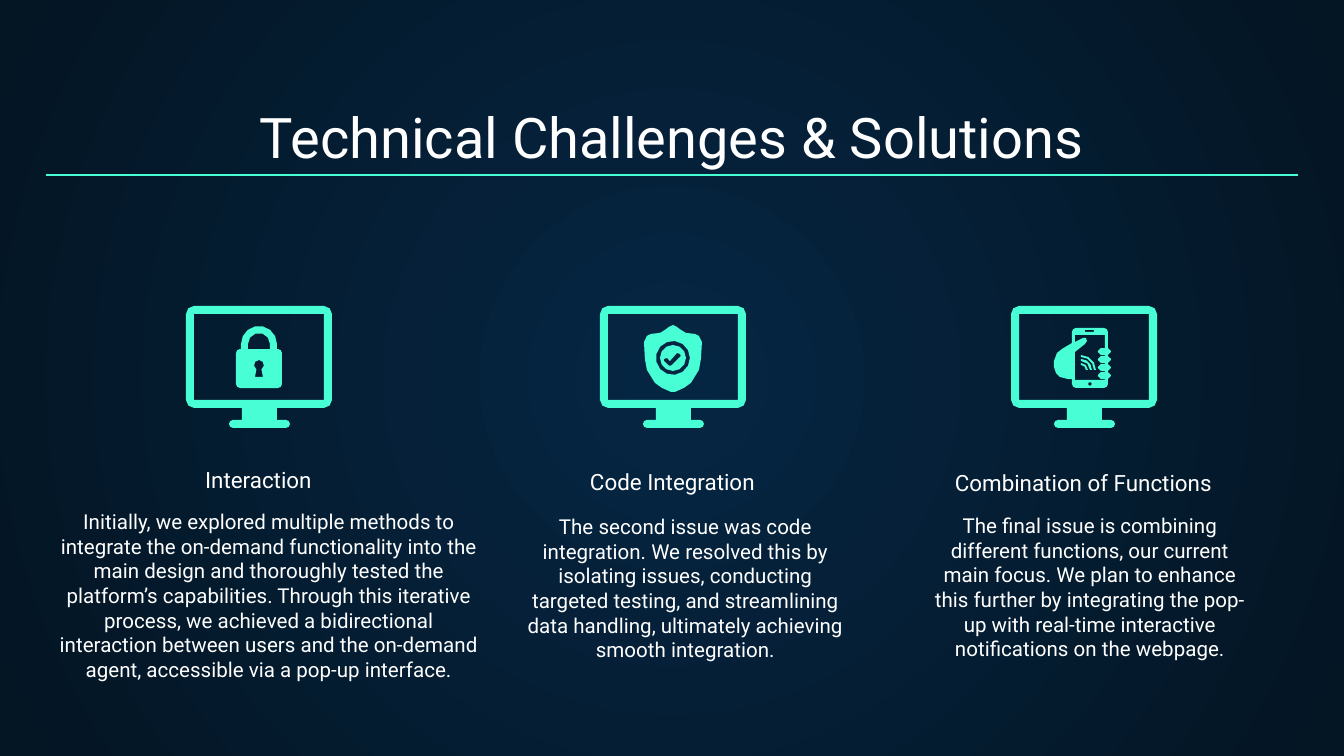
from dataclasses import dataclass
from math import cos, radians, sin, sqrt
from typing import Any

from lxml.etree import SubElement
from pptx import Presentation
from pptx.dml.color import RGBColor
from pptx.enum.shapes import MSO_CONNECTOR
from pptx.enum.text import MSO_ANCHOR, MSO_AUTO_SIZE, PP_ALIGN
from pptx.oxml.ns import qn
from pptx.util import Pt

SCALE = 914400 / 134.4
MINT = "48FFD5"
WHITE = "FFFFFF"
FONT = "Roboto"

Point = tuple[float, float]
Path = list[Point]
Box = tuple[int, int, int, int]


@dataclass
class Column:
    head: str
    head_box: Box
    body: str
    body_box: Box
    left: int
    icon: list[list[Path]]


def px(value: float) -> int:
    return round(value * SCALE)


def paint(target: Any, color: str) -> None:
    target.rgb = RGBColor.from_string(color)


def arc(x: int, y: int, r: int, start: int, end: int) -> Path:
    if r == 0:
        return [(x, y)]
    span = end - start
    steps = max(1, round(abs(span) / 90 * sqrt(r) * 0.8))
    turns = [radians(start + span * i / steps) for i in range(steps + 1)]
    return [(x + r * cos(t), y + r * sin(t)) for t in turns]


def panel(x: int, y: int, w: int, h: int, r: int = 0) -> Path:
    right, base = x + w - r, y + h - r
    return (arc(x + r, y + r, r, 180, 270) + arc(right, y + r, r, 270, 360)
            + arc(right, base, r, 0, 90) + arc(x + r, base, r, 90, 180))


def draw(shapes: Any, paths: list[Path]) -> None:
    pen = None
    for path in paths:
        (x, y), *rest = [(px(x), px(y)) for x, y in path]
        if pen is None:
            pen = shapes.build_freeform(x, y)
        else:
            pen.move_to(x, y)
        pen.add_line_segments(rest, close=True)
    shape = pen.convert_to_shape()
    shape.shadow.inherit = False
    shape.fill.solid()
    paint(shape.fill.fore_color, MINT)
    shape.line.fill.background()


def screen(x: int, y: int) -> list[Path]:
    return [panel(x, y, 146, 102, 8), panel(x + 8, y + 8, 130, 86),
            panel(x + 56, y + 102, 35, 12), panel(x + 43, y + 114, 61, 8, 4)]


def lock(x: int) -> list[list[Path]]:
    bow = (arc(x, 344, 18, 180, 360) + [(x + 18, 349), (x + 11, 349)]
           + arc(x, 344, 11, 360, 180) + [(x - 11, 349), (x - 18, 349)])
    key = arc(x, 365, 5, 120, 420) + [(x + 4, 377), (x - 4, 377)]
    return [[panel(x - 23, 349, 46, 39, 4), bow, key]]


def shield(x: int) -> list[list[Path]]:
    side = [(0, 325), (4, 327), (8, 330), (13, 333), (22, 334), (26, 336),
            (29, 342), (28, 359), (26, 370), (18, 383), (11, 388), (2, 392)]
    edge = [(x + dx, y) for dx, y in side] + [(x - dx, y) for dx, y in side[:0:-1]]
    tick = [(4, 353), (7, 354), (8, 356), (-1, 365), (-3, 366), (-5, 365),
            (-9, 361), (-9, 359), (-6, 358), (-3, 361)]
    return [[arc(x, 358, 13, 0, 360), [(x + dx, y) for dx, y in tick]],
            [edge, arc(x, 358, 17, 0, 360)]]


def phone(x: int) -> list[list[Path]]:
    case = [panel(x - 18, 328, 36, 60, 4), panel(x - 15, 335, 30, 45),
            panel(x - 5, 330, 9, 2), arc(x, 384, 2, 0, 360)]
    palm = [(-18, 343), (-28, 349), (-33, 353), (-36, 361), (-36, 367),
            (-34, 373), (-30, 377), (-22, 379), (-15, 379), (-15, 352),
            (-5, 344), (-3, 341), (-4, 338), (-7, 338), (-15, 342)]
    hand = [[(x + dx, y) for dx, y in palm]]
    hand += [panel(x + 8, 348 + 8 * i, 13, 7, 3) for i in range(4)]
    hand += [arc(x - 9, 370, r, 270, 360) + arc(x - 9, 370, r - 2, 360, 270)
             for r in (15, 11, 7)]
    return [case, hand]


def write(shape: Any, box: Box, text: str, size: int, anchor: MSO_ANCHOR) -> None:
    shape.left, shape.top, shape.width, shape.height = map(px, box)
    frame = shape.text_frame
    frame.text = text
    frame.word_wrap = True
    frame.auto_size = MSO_AUTO_SIZE.NONE
    frame.vertical_anchor = anchor
    frame.margin_left = frame.margin_right = px(13)
    frame.margin_top = frame.margin_bottom = px(13)
    for para in frame.paragraphs:
        props = para._p.get_or_add_pPr()
        props.set("marL", "0")
        props.set("indent", "0")
        SubElement(props, qn("a:buNone"))
        para.alignment = PP_ALIGN.CENTER
        para.space_before = Pt(0)
        for run in para.runs:
            run.font.name = FONT
            run.font.size = Pt(size)
            run.font.bold = False
            paint(run.font.color, WHITE)


def shade(slide: Any) -> None:
    fill = slide.background.fill
    fill.gradient()
    for stop, place, color in zip(fill.gradient_stops, (0, 1), ("052643", "041523")):
        stop.position = place
        paint(stop.color, color)
    grad = slide.element.find(".//" + qn("a:gradFill"))
    grad.remove(grad.find(qn("a:lin")))
    ring = SubElement(grad, qn("a:path"), {"path": "circle"})
    SubElement(ring, qn("a:fillToRect"), {side: "50000" for side in "ltrb"})


def rule(slide: Any, left: int, right: int, y: int) -> None:
    line = slide.shapes.add_connector(
        MSO_CONNECTOR.STRAIGHT, px(left), px(y), px(right), px(y))
    paint(line.line.color, MINT)
    line.line.width = Pt(0.75)
    SubElement(line._element.spPr, qn("a:effectLst"))


COLUMNS = [
    Column("Interaction", (106, 478, 305, 28),
           "Initially, we explored multiple methods to integrate the on-demand "
           "functionality into the main design and thoroughly tested the platform’s "
           "capabilities. Through this iterative process, we achieved a bidirectional "
           "interaction between users and the on-demand agent, accessible via a "
           "pop-up interface.", (46, 496, 446, 74), 186, lock(259)),
    Column("Code Integration", (520, 480, 305, 28),
           "The second issue was code integration. We resolved this by isolating "
           "issues, conducting targeted testing, and streamlining data handling, "
           "ultimately achieving smooth integration.",
           (509, 501, 353, 74), 600, shield(673)),
    Column("Combination of Functions", (931, 481, 305, 28),
           "The final issue is combining different functions, our current main "
           "focus. We plan to enhance this further by integrating the pop-up with "
           "real-time interactive notifications on the webpage.",
           (914, 500, 352, 74), 1011, phone(1090)),
]


def main() -> None:
    deck = Presentation()
    deck.slide_width, deck.slide_height = px(1344), px(756)
    slide = deck.slides.add_slide(deck.slide_layouts[4])
    shade(slide)
    title, *slots = slide.placeholders
    write(title, (46, 94, 1252, 89), "Technical Challenges & Solutions", 30,
          MSO_ANCHOR.BOTTOM)
    slots += [slide.shapes.add_textbox(0, 0, 0, 0) for _ in range(2)]
    for col, head, body in zip(COLUMNS, slots[::2], slots[1::2]):
        write(head, col.head_box, col.head, 12, MSO_ANCHOR.BOTTOM)
        write(body, col.body_box, col.body, 11, MSO_ANCHOR.TOP)
        group = slide.shapes.add_group_shape().shapes
        for paths in [screen(col.left, 306), *col.icon]:
            draw(group, paths)
    rule(slide, 46, 1298, 175)
    deck.save("out.pptx")


if __name__ == "__main__":
    main()
